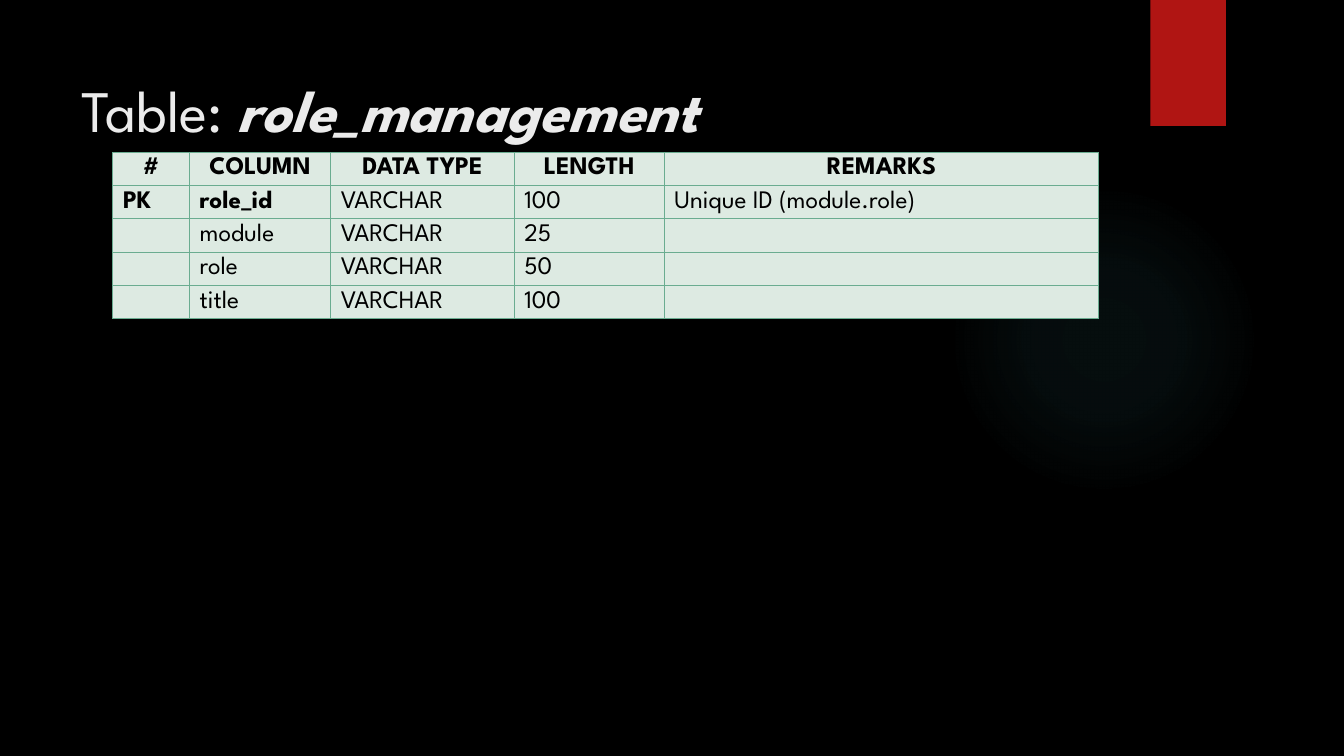
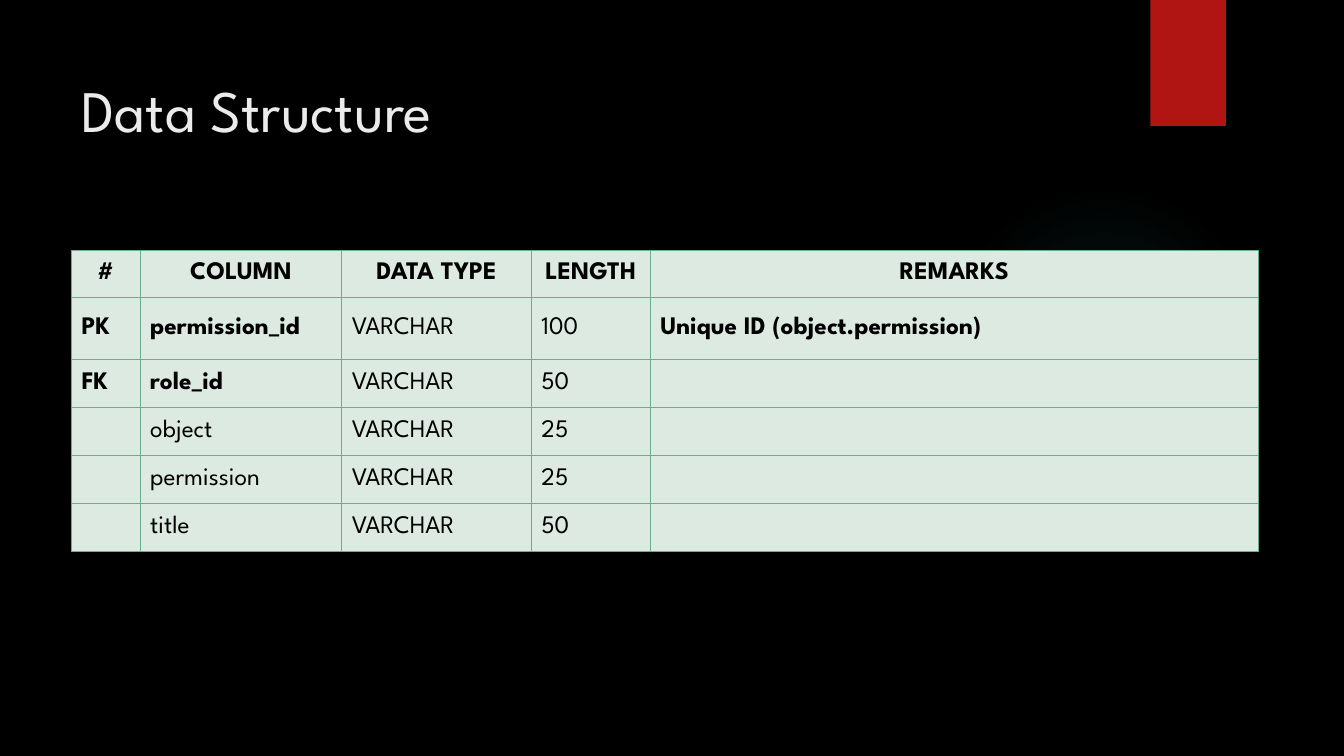
import pptx
import pptx.util
import pptx.oxml
import pptx.oxml.ns
import pptx.dml.color
import pptx.enum.shapes
import pptx.enum.text
from lxml import etree

W, H = 13.33, 7.5
FONT = "League Spartan"
COLORS = {
    "back": "000000",
    "band": "B01513",
    "glow": "50B9C1",
    "title": "EBEBEB",
    "cell": "DDEAE2",
    "border": "6AAC90",
    "text": "000000",
}
HEADER = ["#", "COLUMN", "DATA TYPE", "LENGTH", "REMARKS"]
TYPE = "VARCHAR"


def inch(value):
    return pptx.util.Inches(value)


def rgb(name):
    return pptx.dml.color.RGBColor.from_string(COLORS[name])


def add_run(p, text, size, color, bold=False, italic=False):
    r = p.add_run()
    r.text = text
    f = r.font
    f.name, f.size, f.bold, f.italic = FONT, pptx.util.Pt(size), bold, italic
    f.color.rgb = rgb(color)


# Shared look: background, glow and band, moved from a slide to its layout
def set_glow_fill(sp):
    stops = "".join(
        f'<a:gs pos="{pos * 1000}"><a:srgbClr val="{COLORS["glow"]}">'
        f'<a:alpha val="{alpha * 1000}"/></a:srgbClr></a:gs>'
        for pos, alpha in [(0, 7), (36, 6), (69, 0), (100, 0)])
    grad = pptx.oxml.parse_xml(
        f'<a:gradFill {pptx.oxml.ns.nsdecls("a")}><a:gsLst>{stops}</a:gsLst>'
        '<a:path path="circle"><a:fillToRect l="50000" t="50000" r="50000" b="50000"/>'
        '</a:path></a:gradFill>')
    sp.element.spPr.find(pptx.oxml.ns.qn("a:prstGeom")).addnext(grad)


def decorate_layout(layout, s):
    fill = layout.background.fill
    fill.solid()
    fill.fore_color.rgb = rgb("back")
    kinds = pptx.enum.shapes.MSO_SHAPE
    glow = s.shapes.add_shape(kinds.OVAL, inch(9.41), inch(1.83), inch(3.08), inch(3.08))
    set_glow_fill(glow)
    band = s.shapes.add_shape(kinds.RECTANGLE, inch(11.41), 0, inch(0.75), inch(H / 6))
    band.fill.solid()
    band.fill.fore_color.rgb = rgb("band")
    for i, sp in enumerate([glow, band]):
        sp.line.fill.background()
        sp.shadow.inherit = False
        layout.shapes.element.insert(2 + i, sp.element)


# Title: a list of (text, emphasised) runs
def set_title(s, parts, height):
    sp = s.shapes.title
    sp.left, sp.top, sp.width, sp.height = map(inch, (0.71, H / 15, 10.29, height))
    tf = sp.text_frame
    tf.word_wrap = True
    tf.auto_size = pptx.enum.text.MSO_AUTO_SIZE.NONE
    tf.vertical_anchor = pptx.enum.text.MSO_ANCHOR.TOP
    tf.margin_top = inch(0.23)
    p = tf.paragraphs[0]
    p.alignment = pptx.enum.text.PP_ALIGN.LEFT
    for text, strong in parts:
        add_run(p, text, 42, "title", strong, strong)


# Table
def set_borders(cell):
    tc_pr = cell._tc.get_or_add_tcPr()
    for side in ("lnL", "lnR", "lnT", "lnB"):
        tc_pr.append(pptx.oxml.parse_xml(
            f'<a:{side} {pptx.oxml.ns.nsdecls("a")} w="{pptx.util.Pt(0.75)}">'
            f'<a:solidFill><a:srgbClr val="{COLORS["border"]}"/></a:solidFill></a:{side}>'))


def fill_cell(cell, text, bold, centred):
    set_borders(cell)
    cell.fill.solid()
    cell.fill.fore_color.rgb = rgb("cell")
    cell.vertical_anchor = pptx.enum.text.MSO_ANCHOR.MIDDLE
    p = cell.text_frame.paragraphs[0]
    if centred:
        p.alignment = pptx.enum.text.PP_ALIGN.CENTER
    if text:
        add_run(p, text, 18, "text", bold)
    else:
        # An empty cell still needs the font, which sets its least height
        end = etree.SubElement(p._p, pptx.oxml.ns.qn("a:endParaRPr"), sz="1800")
        etree.SubElement(end, pptx.oxml.ns.qn("a:latin"), typeface=FONT)


def add_columns_table(s, left, top, widths, heights, fields, bold_remarks=False):
    rows = [HEADER] + [[key, name, TYPE, length, remark]
                       for key, name, length, remark in fields]
    table = s.shapes.add_table(len(rows), len(HEADER), inch(left), inch(top),
                               inch(sum(widths)), inch(sum(heights))).table
    table.first_row = table.horz_banding = False
    for column, width in zip(table.columns, widths):
        column.width = inch(width)
    for i, (row, height) in enumerate(zip(rows, heights)):
        table.rows[i].height = inch(height)
        for j, text in enumerate(row):
            bold = i == 0 or (j < 2 and bool(row[0])) or (j == 4 and bold_remarks)
            fill_cell(table.cell(i, j), text, bold, i == 0)


def main():
    prs = pptx.Presentation()
    prs.slide_width, prs.slide_height = inch(W), inch(H)
    layout = prs.slide_layouts[5]

    # Slide 1: role table
    s = prs.slides.add_slide(layout)
    decorate_layout(layout, s)
    set_title(s, [("Table: ", False), ("role_management", True)], 1.01)
    add_columns_table(
        s, 1.12, 1.51, [0.76, 1.4, 1.82, 1.49, 4.31], [0.33] * 5,
        [("PK", "role_id", "100", "Unique ID (module.role)"),
         ("", "module", "25", ""),
         ("", "role", "50", ""),
         ("", "title", "100", "")])

    # Slide 2: permission table
    s = prs.slides.add_slide(layout)
    set_title(s, [("Data Structure", False)], 1.53)
    add_columns_table(
        s, 0.71, 2.48, [0.68, 2, 1.88, 1.18, 6.03], [0.47, 0.62] + [0.475] * 4,
        [("PK", "permission_id", "100", "Unique ID (object.permission)"),
         ("FK", "role_id", "50", ""),
         ("", "object", "25", ""),
         ("", "permission", "25", ""),
         ("", "title", "50", "")],
        bold_remarks=True)

    prs.save("out.pptx")


if __name__ == "__main__":
    main()
